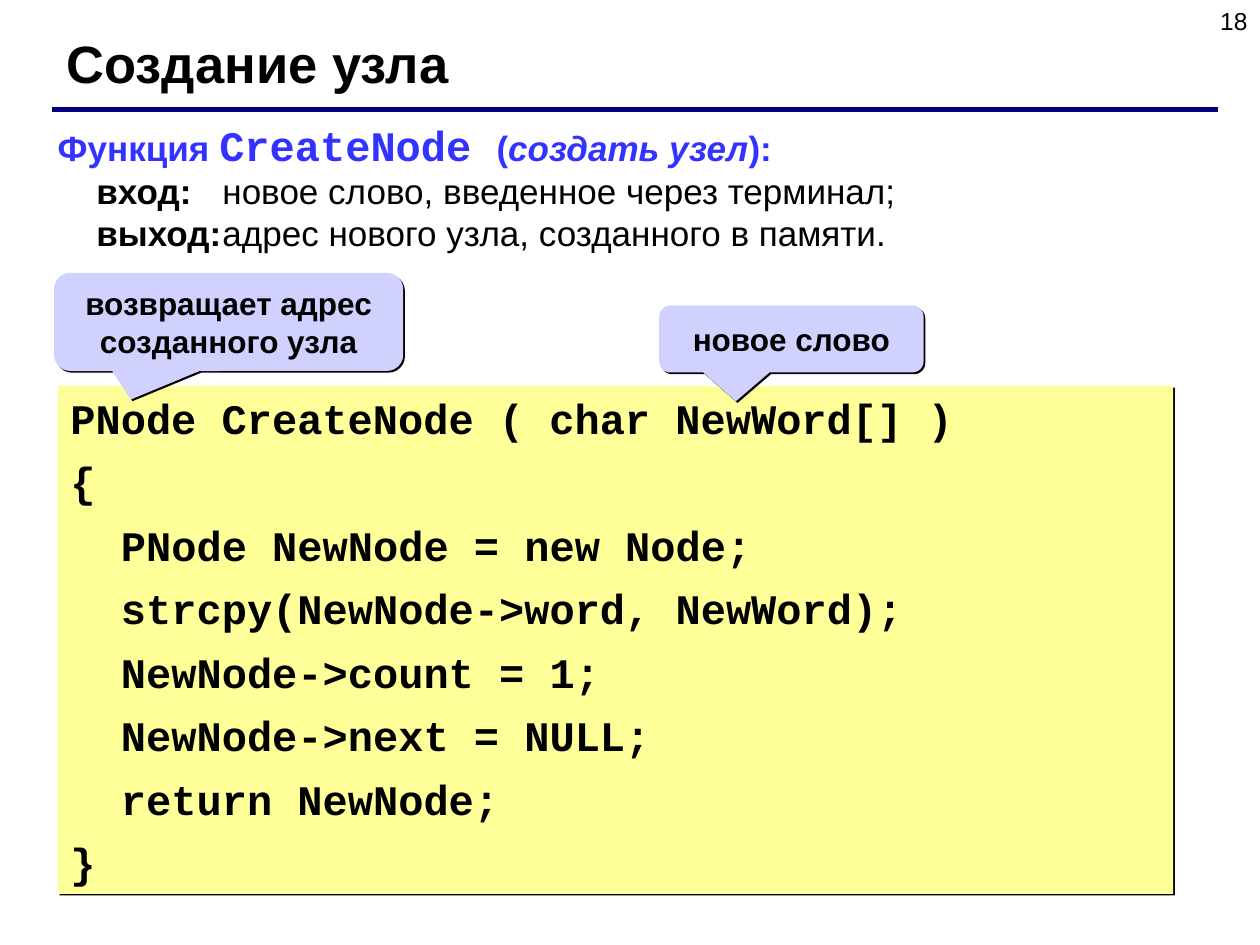
from lxml import etree
from pptx import Presentation
from pptx.dml.color import RGBColor
from pptx.enum.shapes import MSO_CONNECTOR, MSO_SHAPE
from pptx.enum.text import MSO_ANCHOR, MSO_AUTO_SIZE, PP_ALIGN
from pptx.oxml.ns import qn
from pptx.util import Cm, Pt

LINE = MSO_CONNECTOR.STRAIGHT
RECT = MSO_SHAPE.RECTANGLE
CALL = MSO_SHAPE.ROUNDED_RECTANGULAR_CALLOUT
TOP, MID = MSO_ANCHOR.TOP, MSO_ANCHOR.MIDDLE
LEFT, CENTER, RIGHT = PP_ALIGN.LEFT, PP_ALIGN.CENTER, PP_ALIGN.RIGHT
NONE = MSO_AUTO_SIZE.NONE

SANS, MONO = "Arial", "Courier New"
COLORS = {"black": "000000", "navy": "000080", "blue": "3333FF",
          "code": "FFFF99", "call": "D1D1FF"}


class Page:
    """Style of the slide and the elements placed on it."""

    def __init__(self, slide):
        self.slide = slide

    def color(self, name):
        return RGBColor.from_string(COLORS[name])

    def place(self, shape, box):
        shape.left, shape.top, shape.width, shape.height = map(Cm, box)

    def frame(self, shape, anchor=TOP):
        frame = shape.text_frame
        frame.word_wrap = True
        frame.auto_size = NONE
        frame.vertical_anchor = anchor
        return frame

    def run(self, para, text, size, font=SANS, color="black", bold=True, slant=False):
        run = para.add_run()
        run.text = text
        face = run.font
        face.name, face.size = font, Pt(size)
        face.bold, face.italic = bold, slant
        face.color.rgb = self.color(color)

    def para(self, frame, first, runs, align=LEFT, before=0, indent=0, tab=None):
        para = frame.paragraphs[0] if first else frame.add_paragraph()
        para.alignment = align
        para.space_before = Pt(before)
        props = para._p.get_or_add_pPr()
        props.set("marL", str(Cm(indent)))
        props.set("indent", "0")
        etree.SubElement(props, qn("a:buNone"))
        if tab:
            tabs = etree.SubElement(props, qn("a:tabLst"))
            etree.SubElement(tabs, qn("a:tab"), pos=str(Cm(tab)), algn="l")
        for text, size, style in runs:
            self.run(para, text, size, **style)

    def title(self, text, box):
        shape = self.slide.shapes.title
        self.place(shape, box)
        self.para(self.frame(shape), True, [(text, 30, {})])

    def body(self, rows, box):
        shape = self.slide.placeholders[1]
        self.place(shape, box)
        frame = self.frame(shape)
        for i, (runs, indent, tab) in enumerate(rows):
            self.para(frame, i == 0, runs, indent=indent, tab=tab)

    def label(self, text, box):
        shape = self.slide.shapes.add_textbox(*map(Cm, box))
        self.para(self.frame(shape), True, [(text, 14, {"bold": False})], RIGHT)

    def rule(self, left, right, y):
        line = self.slide.shapes.add_connector(LINE, Cm(left), Cm(y), Cm(right), Cm(y))
        line.line.color.rgb = self.color("navy")
        line.line.width = Pt(3)
        etree.SubElement(line._element.spPr, qn("a:effectLst"))

    def panel(self, kind, box, fill):
        shape = self.slide.shapes.add_shape(kind, *map(Cm, box))
        shape.fill.solid()
        shape.fill.fore_color.rgb = self.color(fill)
        shape.line.fill.background()
        shape.shadow.inherit = False
        effects = shape._element.spPr.find(qn("a:effectLst"))
        drop = etree.SubElement(effects, qn("a:outerShdw"), dist=str(Pt(1.4)),
                                dir="2700000", algn="ctr", rotWithShape="0")
        etree.SubElement(drop, qn("a:srgbClr"), val=COLORS["black"])
        return shape

    def code(self, lines, box):
        frame = self.frame(self.panel(RECT, box, "code"))
        for i, (step, text) in enumerate(lines):
            self.para(frame, i == 0, [(text, 24, {"font": MONO})],
                      before=7.5, indent=1.02 * step)

    def callout(self, text, box, tip):
        shape = self.panel(CALL, box, "call")
        shape.adjustments[0], shape.adjustments[1] = tip
        self.para(self.frame(shape, MID), True, [(text, 18, {})], CENTER)


def main():
    deck = Presentation()
    deck.slide_width, deck.slide_height = Cm(25.4), Cm(19.05)
    page = Page(deck.slides.add_slide(deck.slide_layouts[1]))

    # Heading and page number
    page.label("18", (19.48, 0, 5.92, 1.32))
    page.rule(1.04, 24.56, 2.21)
    page.title("Создание узла", (1.09, 0.5, 22.6, 1.52))

    # Purpose of the function
    blue, plain = {"color": "blue"}, {"bold": False}
    head = [("Функция ", 20, blue), ("CreateNode ", 24, {**blue, "font": MONO}),
            ("(", 20, blue), ("создать узел", 20, {**blue, "slant": True}),
            ("):", 20, blue)]
    pairs = [("вход:", "новое слово, введенное через терминал;"),
             ("выход:", "адрес нового узла, созданного в памяти.")]
    rows = [(head, 0, None)]
    rows += [([(key + "\t", 20, {}), (text, 20, plain)], 0.78, 3.68)
             for key, text in pairs]
    page.body(rows, (0.91, 2.28, 23.85, 2.97))

    # Listing: indent step and text
    page.code([
        (0, "PNode CreateNode ( char NewWord[] )"),
        (0, "{"),
        (1, "PNode NewNode = new Node;"),
        (1, "strcpy(NewNode->word, NewWord);"),
        (1, "NewNode->count = 1;"),
        (1, "NewNode->next = NULL;"),
        (1, "return NewNode;"),
        (0, "}"),
    ], (1.17, 7.78, 22.48, 10.24))

    # Remarks on the header line
    page.callout("возвращает адрес созданного узла", (1.09, 5.5, 7.04, 1.98), (-0.28, 0.79))
    page.callout("новое слово", (13.29, 6.16, 5.33, 1.35), (-0.21, 0.93))

    deck.save("out.pptx")


if __name__ == "__main__":
    main()
